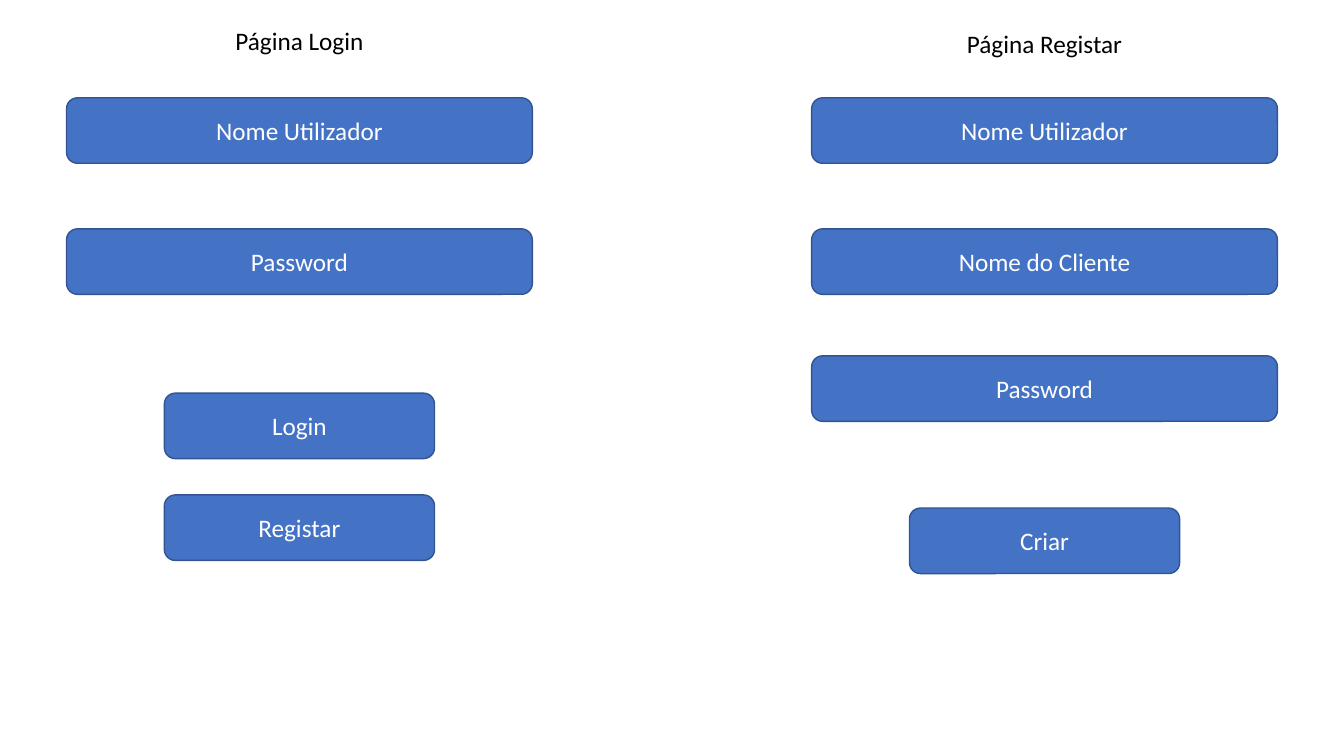
"""Build a slide that sketches the login and registration pages."""
from pptx import Presentation
from pptx.dml.color import RGBColor
from pptx.enum.shapes import MSO_SHAPE
from pptx.enum.text import MSO_ANCHOR, PP_ALIGN
from pptx.util import Inches, Pt


def color(value):
    return RGBColor.from_string(value)


def write(sp, text, size=18, font="Calibri", fill="000000", anchor=MSO_ANCHOR.TOP):
    tf = sp.text_frame
    tf.word_wrap = True
    tf.vertical_anchor = anchor
    p = tf.paragraphs[0]
    p.alignment = PP_ALIGN.CENTER
    r = p.add_run()
    r.text = text
    r.font.size = Pt(size)
    r.font.name = font
    r.font.color.rgb = color(fill)


prs = Presentation()
prs.slide_width, prs.slide_height = Inches(13.33), Inches(7.5)
s = prs.slides.add_slide(prs.slide_layouts[6])

FIELD, BUTTON, TITLE = 4.62, 2.68, 4.04
BOX_H, TITLE_H = 0.65, 0.4
pages = [
    (2.97, "Página Login", 0.2, [
        ("Nome Utilizador", 0.97, FIELD),
        ("Password", 2.27, FIELD),
        ("Login", 3.9, BUTTON),
        ("Registar", 4.91, BUTTON),
    ]),
    (10.36, "Página Registar", 0.23, [
        ("Nome Utilizador", 0.97, FIELD),
        ("Nome do Cliente", 2.27, FIELD),
        ("Password", 3.53, FIELD),
        ("Criar", 5.04, BUTTON),
    ]),
]

for center, title, title_top, boxes in pages:
    for text, top, width in boxes:
        sp = s.shapes.add_shape(
            MSO_SHAPE.ROUNDED_RECTANGLE,
            Inches(center - width / 2), Inches(top), Inches(width), Inches(BOX_H))
        sp.shadow.inherit = False
        sp.fill.solid()
        sp.fill.fore_color.rgb = color("4472C4")
        sp.line.color.rgb = color("325491")
        sp.line.width = Pt(1)
        write(sp, text, fill="FFFFFF", anchor=MSO_ANCHOR.MIDDLE)
    sp = s.shapes.add_textbox(
        Inches(center - TITLE / 2), Inches(title_top), Inches(TITLE), Inches(TITLE_H))
    write(sp, title)

prs.save("out.pptx")
